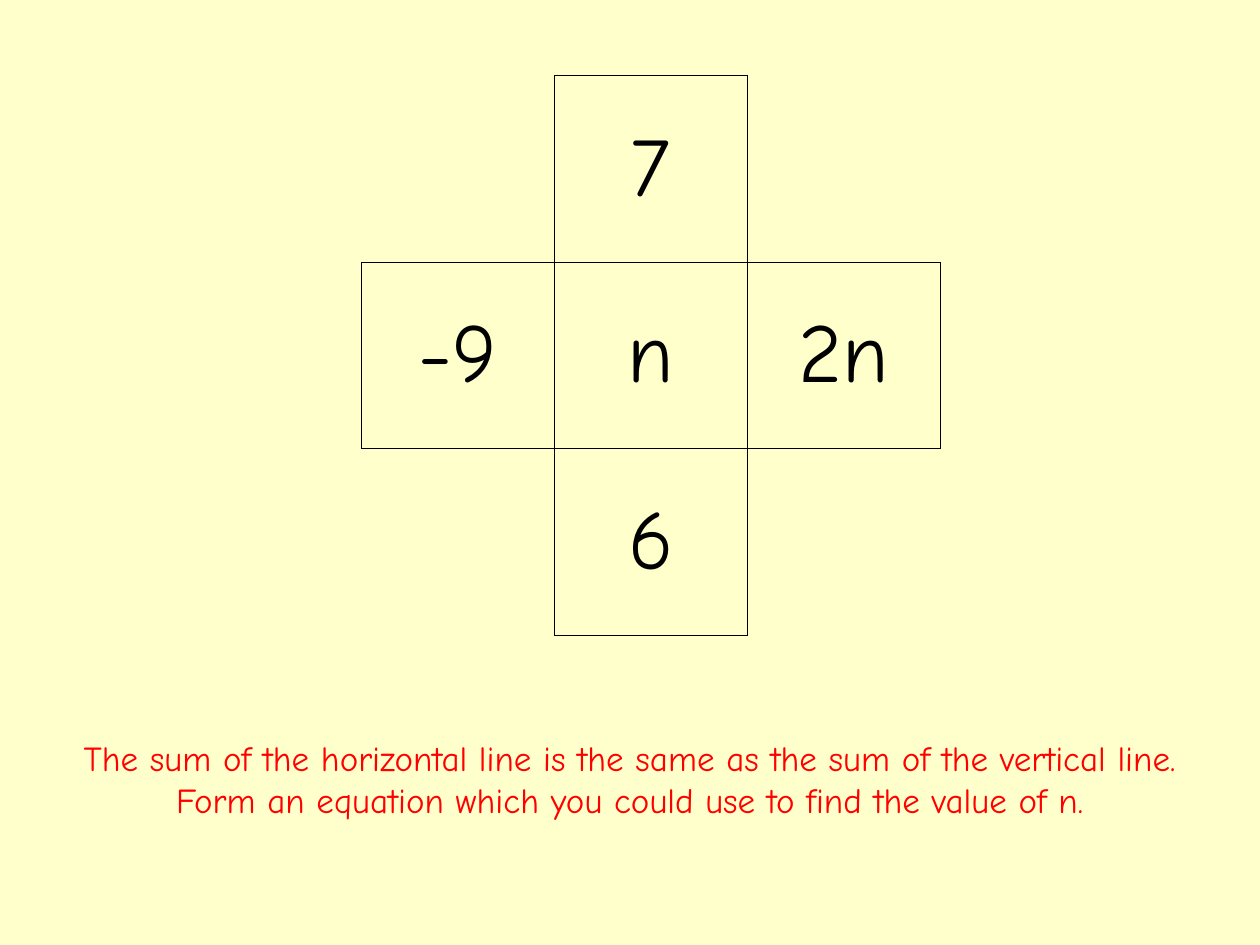
from lxml.etree import SubElement
from pptx import Presentation
from pptx.dml.color import RGBColor
from pptx.enum.text import MSO_ANCHOR, PP_ALIGN
from pptx.oxml.ns import qn
from pptx.util import Inches, Pt

FONT = "Comic Neue"
CROSS = [
    ["", "7", ""],
    ["-9", "n", "2n"],
    ["", "6", ""],
]
CELL_WIDTH, CELL_HEIGHT = 1.53, 1.48
QUESTION = (
    "The sum of the horizontal line is the same as the sum of the vertical line. "
    "Form an equation which you could use to find the value of n."
)


def rgb(color):
    return RGBColor.from_string(color)


def write_centred(frame, text, size, color):
    paragraph = frame.paragraphs[0]
    paragraph.alignment = PP_ALIGN.CENTER
    run = paragraph.add_run()
    run.text = text
    run.font.name = FONT
    run.font.size = Pt(size)
    run.font.color.rgb = rgb(color)


def is_filled(row, col):
    return 0 <= row < len(CROSS) and 0 <= col < len(CROSS[0]) and CROSS[row][col] != ""


def set_borders(cell, row, col):
    """Rule every side that touches a cell with content; clear the others."""
    neighbours = {
        "a:lnL": (row, col - 1),
        "a:lnR": (row, col + 1),
        "a:lnT": (row - 1, col),
        "a:lnB": (row + 1, col),
    }
    properties = cell._tc.get_or_add_tcPr()
    for side, neighbour in neighbours.items():
        border = SubElement(properties, qn(side), w=str(Pt(0.45)))
        if is_filled(row, col) or is_filled(*neighbour):
            fill = SubElement(border, qn("a:solidFill"))
            SubElement(fill, qn("a:srgbClr"), val="000000")
        else:
            SubElement(border, qn("a:noFill"))


def add_cross(slide):
    rows, cols = len(CROSS), len(CROSS[0])
    cross = slide.shapes.add_table(
        rows, cols, Inches(2.87), Inches(0.6),
        Inches(cols * CELL_WIDTH), Inches(rows * CELL_HEIGHT),
    ).table
    cross.first_row = False
    cross.horz_banding = False
    for row, terms in enumerate(CROSS):
        for col, term in enumerate(terms):
            cell = cross.cell(row, col)
            set_borders(cell, row, col)
            cell.fill.background()
            cell.vertical_anchor = MSO_ANCHOR.MIDDLE
            if term:
                write_centred(cell.text_frame, term, 48, "000000")


def add_question(slide):
    question = slide.shapes.add_textbox(
        Inches(0.51), Inches(5.8), Inches(8.98), Inches(0.87)
    )
    question.text_frame.word_wrap = True
    write_centred(question.text_frame, QUESTION, 20, "FF0000")


def main():
    deck = Presentation()
    deck.slide_width, deck.slide_height = Inches(10), Inches(7.5)
    slide = deck.slides.add_slide(deck.slide_layouts[6])
    slide.background.fill.solid()
    slide.background.fill.fore_color.rgb = rgb("FFFFCC")
    add_cross(slide)
    add_question(slide)
    deck.save("out.pptx")


if __name__ == "__main__":
    main()
